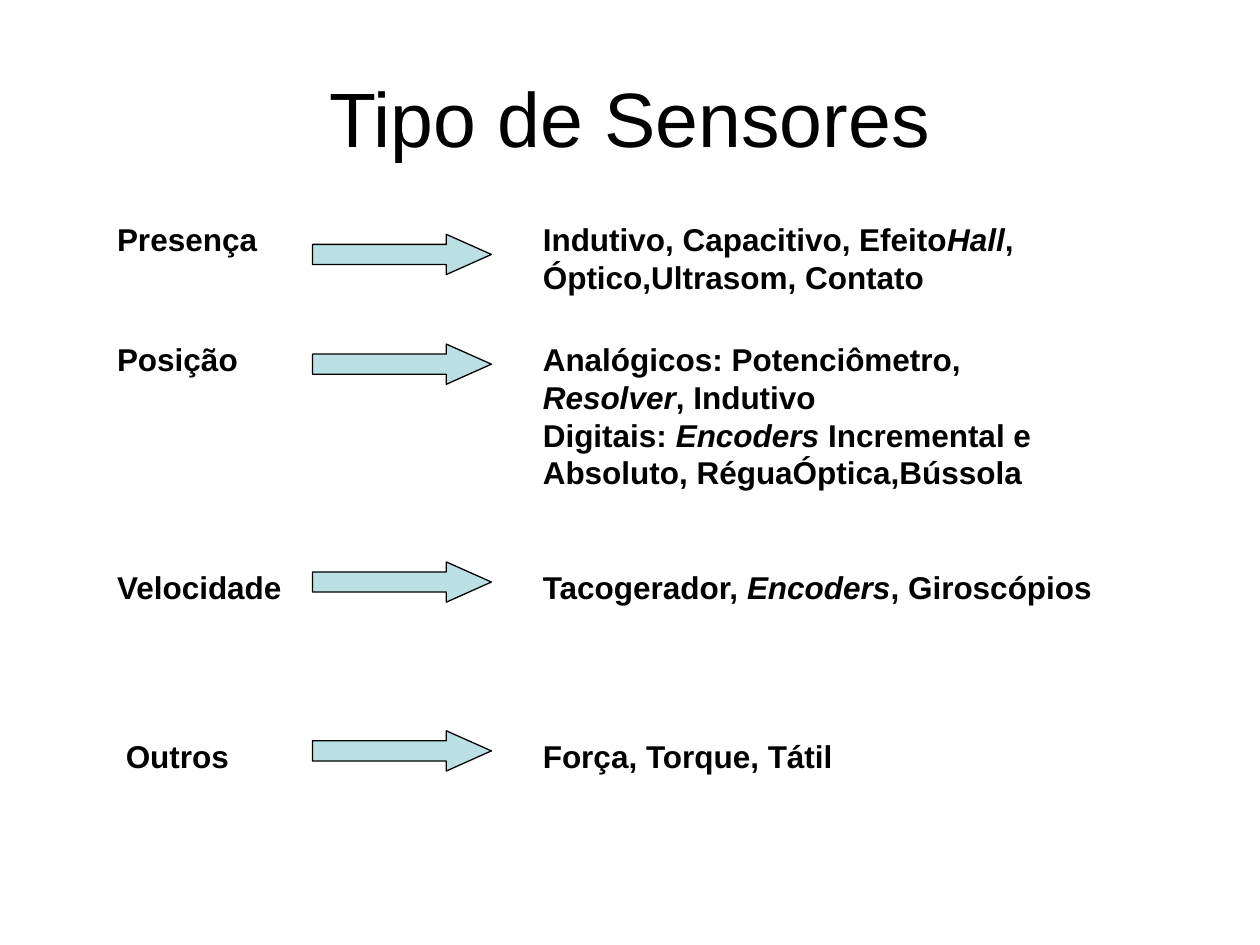
from dataclasses import dataclass

import pptx
import pptx.dml.color
import pptx.enum.shapes
import pptx.enum.text
import pptx.util

Pt = pptx.util.Pt
PP_ALIGN = pptx.enum.text.PP_ALIGN
ANCHOR = pptx.enum.text.MSO_ANCHOR

BLACK = pptx.dml.color.RGBColor(0x00, 0x00, 0x00)
PALE_TEAL = pptx.dml.color.RGBColor(0xBB, 0xE0, 0xE3)
FONT = "Arial"

LABEL_LEFT, ARROW_LEFT, DETAIL_LEFT = 59.8, 178.6, 303.1
LABEL_HEIGHT = 28.8
ARROW_WIDTH, ARROW_HEIGHT = 102.2, 23

# A run is its text and whether it is italic
Run = tuple[str, bool]
Paragraph = list[Run]


@dataclass
class Sensor:
    label: str
    top: float
    arrow_top: float
    label_width: float
    detail_width: float
    detail_height: float
    details: list[Paragraph]
    indent: float = 0


SENSORS = [
    Sensor("Presença", 122.4, 133.9, 158.4, 334.8, 83.5, [
        [("Indutivo, Capacitivo, Efeito", False), ("Hall", True),
         (", Óptico,Ultrasom, Contato", False)],
    ]),
    Sensor("Posição", 190.8, 196.6, 153.4, 295.2, 148.3, [
        [("Analógicos: Potenciômetro, ", False), ("Resolver", True),
         (", Indutivo", False)],
        [("Digitais: ", False), ("Encoders ", True),
         ("Incremental e Absoluto, RéguaÓptica,Bússola", False)],
    ]),
    Sensor("Velocidade", 321.1, 321.1, 136.1, 357.1, 83.5, [
        [("Tacogerador, ", False), ("Encoders", True),
         (", Giroscópios", False)],
    ]),
    Sensor("Outros", 417.6, 417.6, 153.4, 301, 61.9, [
        [("Força, Torque, Tátil", False)],
    ], indent=5),
]


def add_text(s: pptx.slide.Slide, left: float, top: float, width: float,
             height: float, paragraphs: list[Paragraph], size: float = 18,
             bold: bool = True, align: PP_ALIGN = PP_ALIGN.LEFT,
             anchor: ANCHOR = ANCHOR.TOP) -> None:
    sp = s.shapes.add_textbox(Pt(left), Pt(top), Pt(width), Pt(height))
    tf = sp.text_frame
    tf.word_wrap = True
    tf.vertical_anchor = anchor
    for i, runs in enumerate(paragraphs):
        p = tf.add_paragraph() if i else tf.paragraphs[0]
        p.alignment = align
        p.font.name = FONT
        p.font.size = Pt(size)
        p.font.bold = bold
        p.font.color.rgb = BLACK
        for text, italic in runs:
            r = p.add_run()
            r.text = text
            if italic:
                r.font.italic = True


def add_arrow(s: pptx.slide.Slide, top: float) -> None:
    sp = s.shapes.add_shape(pptx.enum.shapes.MSO_SHAPE.RIGHT_ARROW,
                            Pt(ARROW_LEFT), Pt(top),
                            Pt(ARROW_WIDTH), Pt(ARROW_HEIGHT))
    sp.adjustments[0] = 0.5
    sp.adjustments[1] = 1.12
    sp.shadow.inherit = False
    sp.fill.solid()
    sp.fill.fore_color.rgb = PALE_TEAL
    sp.line.color.rgb = BLACK
    sp.line.width = Pt(0.75)


def main() -> None:
    prs = pptx.Presentation()
    prs.slide_width, prs.slide_height = Pt(720), Pt(540)
    s = prs.slides.add_slide(prs.slide_layouts[6])

    # Title
    add_text(s, 36, 21.6, 648, 90, [[("Tipo de Sensores", False)]], size=44,
             bold=False, align=PP_ALIGN.CENTER, anchor=ANCHOR.MIDDLE)

    # Sensor rows: label, arrow, examples
    for row in SENSORS:
        add_text(s, LABEL_LEFT + row.indent, row.top, row.label_width,
                 LABEL_HEIGHT, [[(row.label, False)]])
        add_text(s, DETAIL_LEFT, row.top, row.detail_width,
                 row.detail_height, row.details)
        add_arrow(s, row.arrow_top)

    prs.save("out.pptx")


if __name__ == "__main__":
    main()
